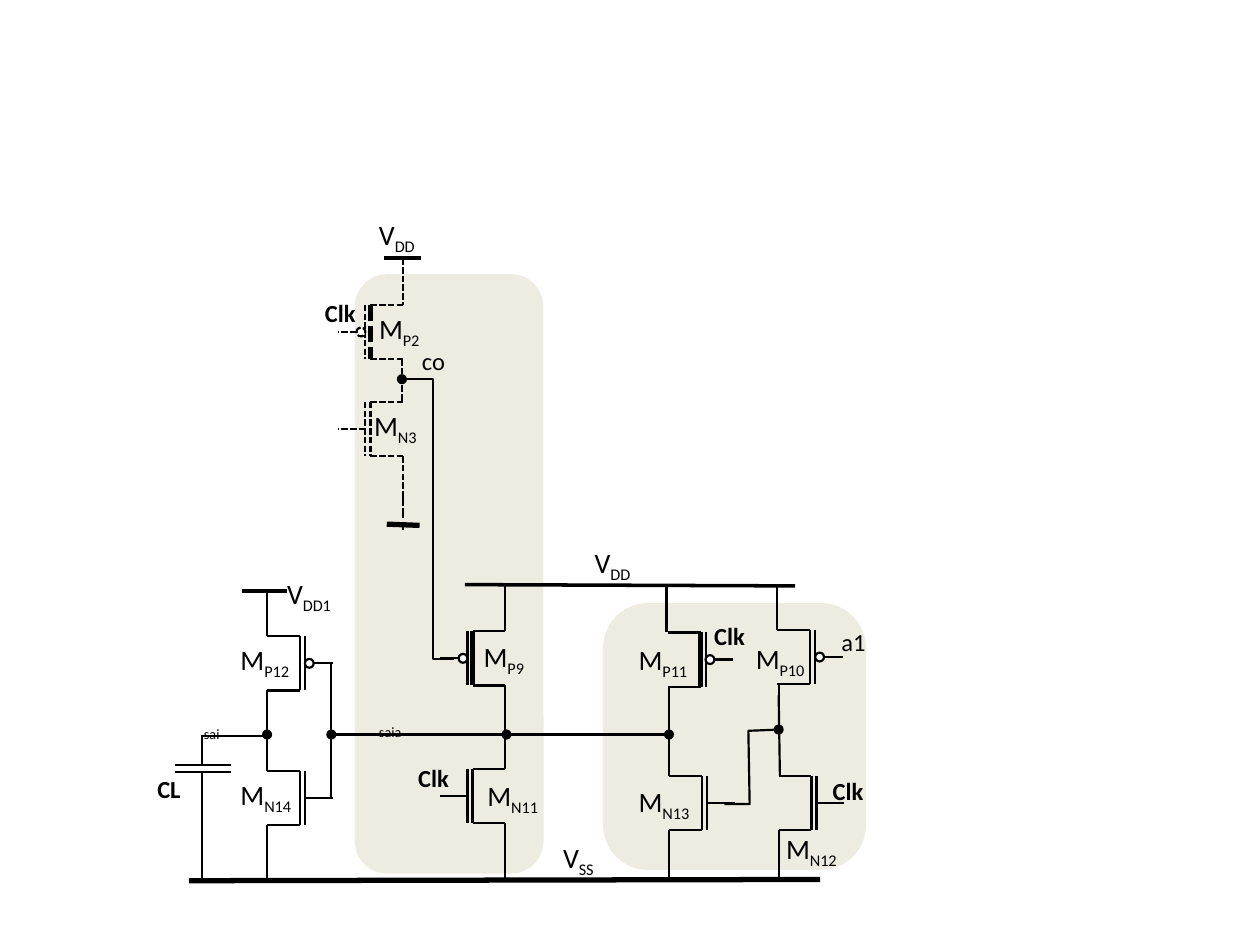
from dataclasses import dataclass

from lxml.etree import SubElement
from pptx import Presentation
from pptx.dml.color import RGBColor
from pptx.enum.dml import MSO_LINE
from pptx.enum.shapes import MSO_CONNECTOR, MSO_SHAPE
from pptx.oxml.ns import qn
from pptx.util import Inches, Pt


@dataclass(frozen=True)
class Theme:
    ink: RGBColor = RGBColor(0, 0, 0)
    paper: RGBColor = RGBColor(255, 255, 255)
    panel: RGBColor = RGBColor(0xEE, 0xEC, 0xE1)
    font: str = "Calibri"
    large: float = 16
    small: float = 14
    edge: float = 0.75
    thin: float = 1.25
    rail: float = 2
    thick: float = 3


@dataclass(frozen=True)
class Wire:
    x1: float
    y1: float
    x2: float
    y2: float
    width: float = 1.25
    dash: MSO_LINE | None = None


@dataclass(frozen=True)
class Fet:
    """Transistor: drain column x, top y, gate side (1 right, -1 left)."""
    x: float
    y: float
    side: int
    pmos: bool = False
    bold: bool = False
    dash: MSO_LINE | None = None


@dataclass(frozen=True)
class Label:
    x: float
    y: float
    w: float
    main: str
    sub: str = ""
    bold: bool = False


THEME = Theme()
DOTS = MSO_LINE.SQUARE_DOT
NODE = 0.07   # diameter of nodes and gate bubbles
TALL = 0.43   # channel length
CHAN = 0.26   # drain column to channel
GATE = 0.3    # drain column to gate
LEAD = 0.52   # drain column to end of gate lead

# Shaded blocks: left, top, width, height
PANELS = [(2.83, 2.19, 1.47, 4.73), (4.8, 4.8, 2.06, 2.09)]

FETS = [
    Fet(3.2, 2.42, -1, pmos=True, bold=True, dash=DOTS),   # P2
    Fet(3.2, 3.19, -1, dash=DOTS),                         # N3
    Fet(4.01, 5.01, -1, pmos=True, bold=True),             # P9
    Fet(4.01, 6.1, -1),                                    # N11
    Fet(2.12, 5.05, 1, pmos=True),                         # P12
    Fet(2.12, 6.12, 1),                                    # N14
    Fet(5.3, 5.02, 1, pmos=True, bold=True),               # P11
    Fet(5.31, 6.16, 1),                                    # N13
    Fet(6.17, 5, 1, pmos=True),                            # P10
    Fet(6.18, 6.16, 1),                                    # N12
]

WIRES = [
    # Supply rails
    Wire(3.05, 2.05, 3.34, 2.05, THEME.rail),
    Wire(1.92, 4.69, 2.28, 4.69, THEME.rail),
    Wire(3.69, 4.64, 6.31, 4.65, THEME.rail),
    Wire(1.5, 6.99, 6.51, 6.98, THEME.thick),
    # Dashed stage
    Wire(3.2, 2.05, 3.2, 2.42, dash=DOTS),
    Wire(3.19, 2.85, 3.19, 3.19, dash=DOTS),
    Wire(3.2, 3.62, 3.2, 4.05, dash=DOTS),
    Wire(3.2, 3.92, 3.2, 4.21, dash=MSO_LINE.DASH),
    Wire(3.07, 4.16, 3.33, 4.17, THEME.thick),
    # Columns of the four solid stages
    Wire(2.12, 4.68, 2.12, 5.05),
    Wire(2.12, 5.48, 2.12, 6.12),
    Wire(2.12, 6.55, 2.12, 6.98),
    Wire(4.01, 4.65, 4.01, 5.01),
    Wire(4.01, 5.44, 4.01, 6.1),
    Wire(4.01, 6.53, 4.01, 6.99),
    Wire(5.29, 4.65, 5.29, 5.02),
    Wire(5.31, 5.45, 5.31, 6.16),
    Wire(5.31, 6.59, 5.31, 6.99),
    Wire(6.17, 4.64, 6.17, 5),
    Wire(6.18, 5.43, 6.18, 5.58),
    Wire(6.18, 5.52, 6.19, 6.16),
    Wire(6.18, 6.59, 6.18, 6.99),
    # Links between stages
    Wire(2.63, 5.25, 2.63, 6.33),
    Wire(2.62, 5.83, 5.33, 5.83),
    # Load capacitor
    Wire(1.6, 5.84, 2.12, 5.84),
    Wire(1.6, 5.83, 1.6, 6.07),
    Wire(1.39, 6.07, 1.83, 6.07),
    Wire(1.39, 6.13, 1.83, 6.13),
    Wire(1.6, 6.13, 1.6, 6.98),
]

BENDS = [
    [(6.19, 5.79), (5.94, 5.8), (5.95, 6.38), (5.75, 6.38)],
    [(3.6, 5.23), (3.44, 5.23), (3.44, 3.01), (3.2, 3.01)],
]

NODES = [(3.19, 3.01), (4.02, 5.83), (6.18, 5.79),
         (5.31, 5.83), (2.12, 5.83), (2.63, 5.83)]

LABELS = [
    Label(2.91, 1.68, 0.54, "V", "DD"),
    Label(4.62, 4.28, 0.55, "V", "DD"),
    Label(2.18, 4.53, 0.7, "V", "DD1"),
    Label(4.37, 6.62, 0.49, "V", "SS"),
    Label(2.91, 2.42, 0.58, "M", "P2"),
    Label(2.87, 3.19, 0.68, "M", "N3"),
    Label(3.74, 5.03, 0.56, "M", "P9"),
    Label(3.77, 6.13, 0.67, "M", "N11"),
    Label(1.81, 5.05, 0.74, "M", "P12"),
    Label(1.81, 6.12, 0.68, "M", "N14"),
    Label(4.97, 5.05, 0.66, "M", "P11"),
    Label(4.97, 6.18, 0.77, "M", "N13"),
    Label(5.9, 5.04, 0.66, "M", "P10"),
    Label(6.14, 6.55, 0.77, "M", "N12"),
    Label(2.48, 2.32, 0.49, "Clk", bold=True),
    Label(3.22, 6.01, 0.49, "Clk", bold=True),
    Label(5.57, 4.88, 0.62, "Clk", bold=True),
    Label(6.51, 6.11, 0.59, "Clk", bold=True),
    Label(1.15, 6.09, 0.43, "CL", bold=True),
    Label(3.25, 2.7, 0.53, "co"),
    Label(6.58, 4.93, 0.46, "a1"),
    Label(2.91, 5.56, 0.43, "", "saia"),
    Label(1.52, 5.58, 0.43, "", "sai"),
]


def draw_wire(shapes, wire: Wire) -> None:
    ends = map(Inches, (wire.x1, wire.y1, wire.x2, wire.y2))
    link = shapes.add_connector(MSO_CONNECTOR.STRAIGHT, *ends)
    link.line.color.rgb = THEME.ink
    link.line.width = Pt(wire.width)
    if wire.dash:
        link.line.dash_style = wire.dash
    SubElement(link._element.spPr, qn("a:effectLst"))


def draw_shape(shapes, kind, box, fill, edge, width: float, dash=None) -> None:
    shape = shapes.add_shape(kind, *map(Inches, box))
    shape.shadow.inherit = False
    shape.fill.solid()
    shape.fill.fore_color.rgb = fill
    shape.line.color.rgb = edge
    shape.line.width = Pt(width)
    if dash:
        shape.line.dash_style = dash


def draw_ring(shapes, x: float, y: float, fill, width: float, dash=None) -> None:
    box = (x - NODE / 2, y - NODE / 2, NODE, NODE)
    draw_shape(shapes, MSO_SHAPE.OVAL, box, fill, THEME.ink, width, dash)


def draw_fet(shapes, fet: Fet) -> None:
    chan, gate, lead = (fet.x + fet.side * d for d in (CHAN, GATE, LEAD))
    low, mid = fet.y + TALL, fet.y + TALL / 2
    body = THEME.thick if fet.bold else THEME.thin
    draw_wire(shapes, Wire(gate, fet.y, gate, low, dash=fet.dash))
    draw_wire(shapes, Wire(chan, fet.y, chan, low, body, fet.dash))
    for y in (fet.y, low):
        draw_wire(shapes, Wire(chan, y, fet.x, y, dash=fet.dash))
    draw_wire(shapes, Wire(gate, mid, lead, mid, dash=fet.dash))
    if fet.pmos:
        spot = gate + fet.side * NODE / 2
        draw_ring(shapes, spot, mid, THEME.paper, THEME.thin, fet.dash)


def draw_bend(shapes, points: list[tuple[float, float]]) -> None:
    first, *rest = [(Inches(x), Inches(y)) for x, y in points]
    path = shapes.build_freeform(*first)
    path.add_line_segments(rest, close=False)
    bend = path.convert_to_shape()
    bend.shadow.inherit = False
    bend.fill.background()
    bend.line.color.rgb = THEME.ink
    bend.line.width = Pt(THEME.thin)


def draw_label(shapes, label: Label) -> None:
    size = THEME.large if label.main and label.sub else THEME.small
    high = 0.37 if size == THEME.large else 0.34 if label.main else 0.25
    box = shapes.add_textbox(*map(Inches, (label.x, label.y, label.w, high)))
    box.text_frame.word_wrap = True
    line = box.text_frame.paragraphs[0]
    for text in filter(None, (label.main, label.sub)):
        run = line.add_run()
        run.text = text
        run.font.name = THEME.font
        run.font.size = Pt(size)
        run.font.bold = label.bold
        run.font.color.rgb = THEME.ink
        if text == label.sub:
            run._r.get_or_add_rPr().set("baseline", "-25000")


def main() -> None:
    deck = Presentation()
    deck.slide_width, deck.slide_height = Inches(10), Inches(7.5)
    shapes = deck.slides.add_slide(deck.slide_layouts[6]).shapes
    for box in PANELS:
        draw_shape(shapes, MSO_SHAPE.ROUNDED_RECTANGLE, box,
                   THEME.panel, THEME.panel, THEME.rail)
    for wire in WIRES:
        draw_wire(shapes, wire)
    for bend in BENDS:
        draw_bend(shapes, bend)
    for fet in FETS:
        draw_fet(shapes, fet)
    for x, y in NODES:
        draw_ring(shapes, x, y, THEME.ink, THEME.edge)
    for label in LABELS:
        draw_label(shapes, label)
    deck.save("out.pptx")


if __name__ == "__main__":
    main()
